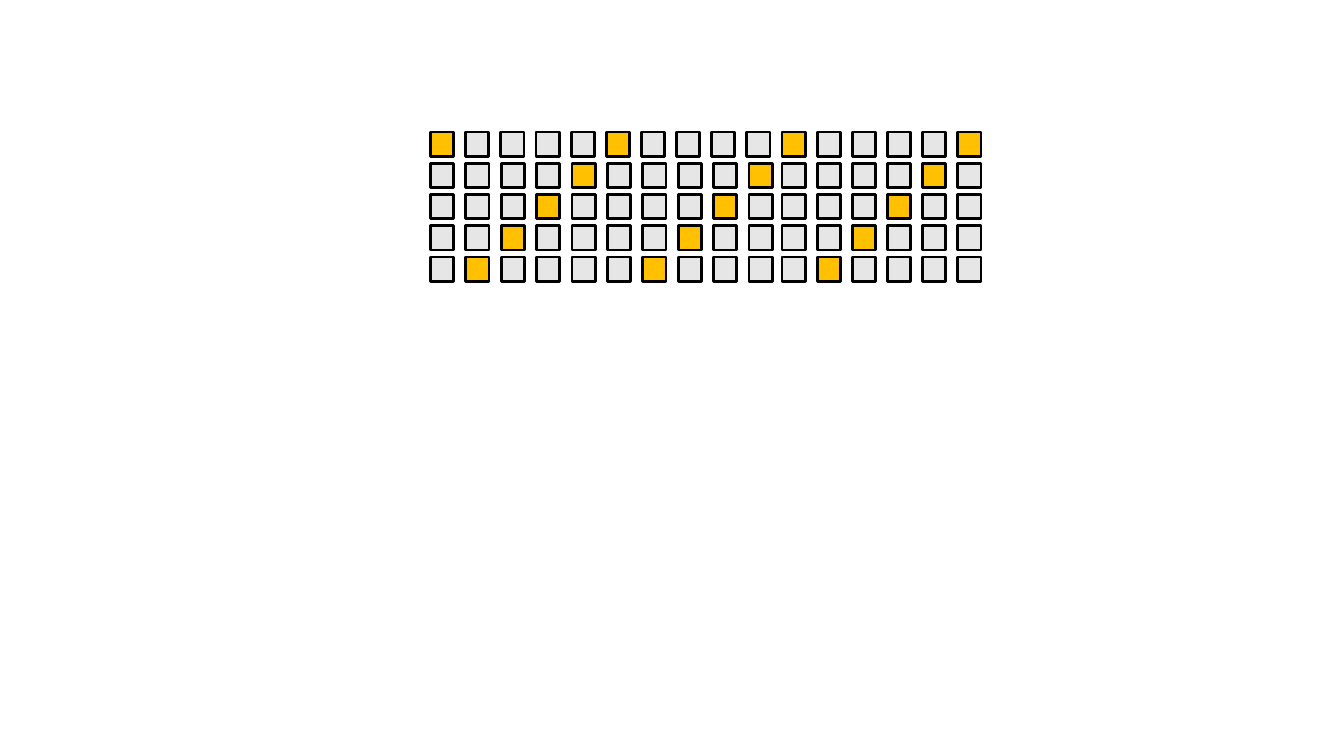
from pptx import Presentation
from pptx.dml.color import RGBColor
from pptx.enum import shapes
from pptx.util import Inches, Pt

AMBER = RGBColor(0xFF, 0xC0, 0x00)
GREY = RGBColor(0xE7, 0xE6, 0xE6)
BLACK = RGBColor(0x00, 0x00, 0x00)

ROWS, COLUMNS = 5, 16
DIAGONAL_PERIOD = 5
LEFT, TOP = 4.27, 1.31
CELL_WIDTH, CELL_HEIGHT = 0.23, 0.24
ROW_PITCH = 0.31
COLUMN_PITCH = (9.5 - LEFT) / (COLUMNS - 1)
# Below the first row, the first ten columns are spaced slightly wider.
WIDE_COLUMNS = 10
WIDE_PITCH = (7.43 - LEFT) / (WIDE_COLUMNS - 1)

deck = Presentation()
deck.slide_width, deck.slide_height = Inches(13.33), Inches(7.5)
slide = deck.slides.add_slide(deck.slide_layouts[6])

for row in range(ROWS):
    for column in range(COLUMNS):
        pitch = WIDE_PITCH if row > 0 and column < WIDE_COLUMNS else COLUMN_PITCH
        cell = slide.shapes.add_shape(
            shapes.MSO_SHAPE.RECTANGLE,
            Inches(LEFT + column * pitch), Inches(TOP + row * ROW_PITCH),
            Inches(CELL_WIDTH), Inches(CELL_HEIGHT))
        on_diagonal = (row + column) % DIAGONAL_PERIOD == 0
        cell.fill.solid()
        cell.fill.fore_color.rgb = AMBER if on_diagonal else GREY
        cell.line.color.rgb = BLACK
        cell.line.width = Pt(2)
        cell.shadow.inherit = False

deck.save("out.pptx")
